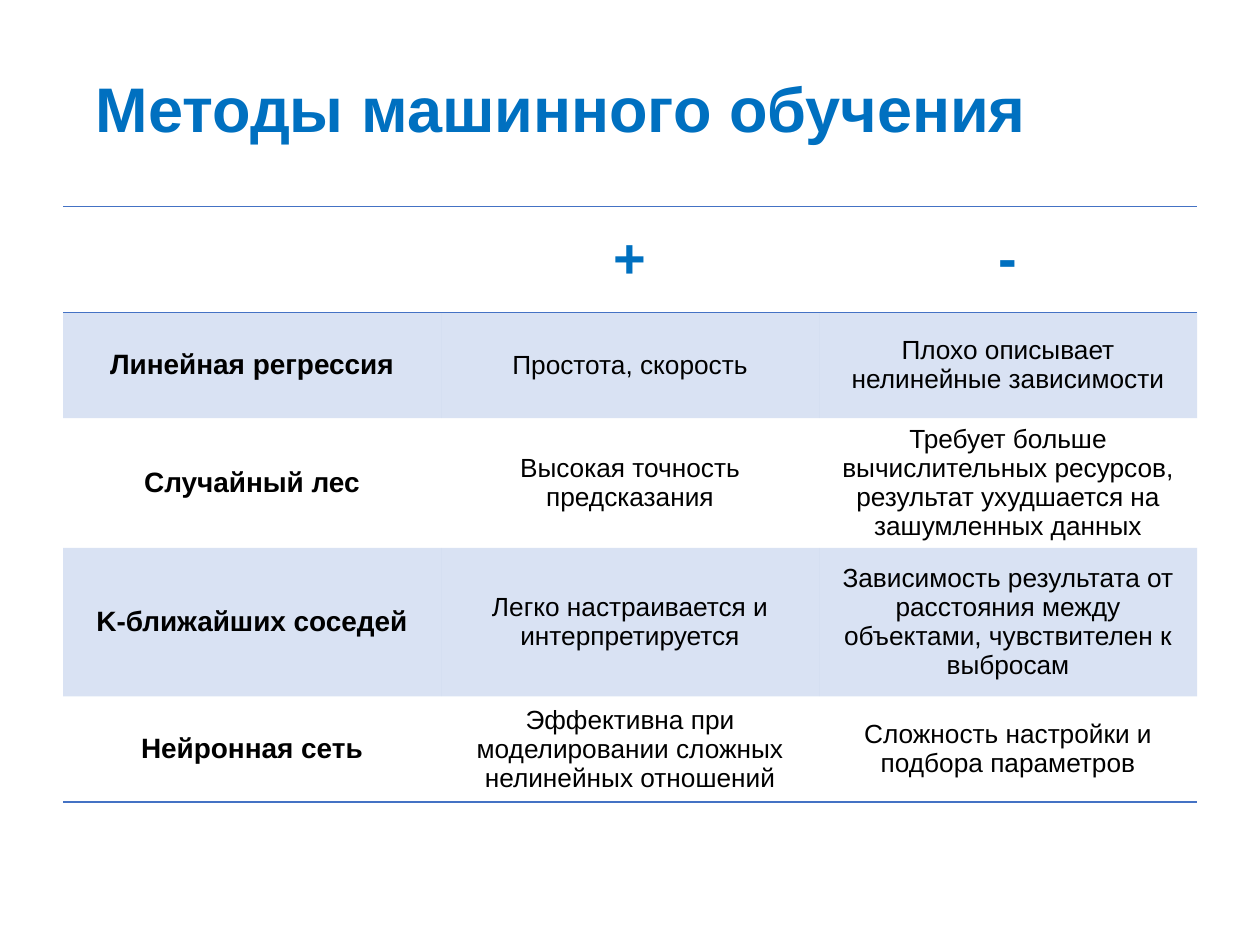
from dataclasses import dataclass
from typing import NamedTuple

from lxml.etree import SubElement
from pptx import Presentation
from pptx.dml.color import RGBColor
from pptx.enum.text import MSO_ANCHOR, PP_ALIGN
from pptx.oxml.ns import qn
from pptx.util import Inches, Pt


@dataclass(frozen=True)
class Theme:
    font: str = "Arial"
    accent: str = "0070C0"
    text: str = "000000"
    line: str = "4472C4"
    band_alpha: int = 20
    line_pt: float = 1
    title_pt: int = 36
    sign_pt: int = 32
    method_pt: int = 16
    body_pt: int = 15


class Method(NamedTuple):
    name: str
    pro: str
    con: str
    height: float


THEME = Theme()
HEADER = Method("", "+", "-", 0.84)
METHODS = [
    Method("Линейная регрессия", "Простота, скорость",
           "Плохо описывает нелинейные зависимости", 0.84),
    Method("Случайный лес", "Высокая точность предсказания",
           "Требует больше вычислительных ресурсов, результат ухудшается "
           "на зашумленных данных", 1.03),
    Method("K-ближайших соседей", "Легко настраивается и интерпретируется",
           "Зависимость результата от расстояния между объектами, "
           "чувствителен к выбросам", 1.18),
    Method("Нейронная сеть",
           "Эффективна при моделировании сложных нелинейных отношений",
           "Сложность настройки и подбора параметров", 0.84),
]


def write(tf, text: str, *, size: float, color: str = THEME.text,
          bold: bool = False, align=PP_ALIGN.CENTER, spacing: float = 1.0) -> None:
    p = tf.paragraphs[0]
    p.alignment, p.line_spacing = align, spacing
    r = p.add_run()
    r.text = text
    r.font.name, r.font.size, r.font.bold = THEME.font, Pt(size), bold
    r.font.color.rgb = RGBColor.from_string(color)


def set_borders(cell, top: bool, bottom: bool) -> None:
    """Rule the chosen edges and clear the others; call before filling."""
    tc_pr = cell._tc.get_or_add_tcPr()
    edges = {"lnL": False, "lnR": False, "lnT": top, "lnB": bottom}
    for tag, ruled in edges.items():
        ln = SubElement(tc_pr, qn(f"a:{tag}"), w=str(Pt(THEME.line_pt)))
        if ruled:
            fill = SubElement(ln, qn("a:solidFill"))
            SubElement(fill, qn("a:srgbClr"), val=THEME.line)
        else:
            SubElement(ln, qn("a:noFill"))


def set_band(cell, shaded: bool) -> None:
    if not shaded:
        cell.fill.background()
        return
    cell.fill.solid()
    cell.fill.fore_color.rgb = RGBColor.from_string(THEME.line)
    clr = cell._tc.tcPr.find(qn("a:solidFill")).find(qn("a:srgbClr"))
    SubElement(clr, qn("a:alpha"), val=str(THEME.band_alpha * 1000))


def add_title(s, text: str) -> None:
    sp = s.shapes.title
    sp.left, sp.top, sp.width, sp.height = map(Inches, (0.68, 0.52, 8.63, 0.68))
    tf = sp.text_frame
    tf.vertical_anchor = MSO_ANCHOR.BOTTOM
    tf.margin_left = tf.margin_right = Inches(0.08)
    tf.margin_top = tf.margin_bottom = Inches(0.04)
    write(tf, text, size=THEME.title_pt, color=THEME.accent, bold=True,
          align=PP_ALIGN.LEFT, spacing=0.9)


def add_methods_table(s, rows: list[Method]) -> None:
    height = sum(row.height for row in rows)
    table = s.shapes.add_table(len(rows), 3, Inches(0.5), Inches(1.64),
                               Inches(9), Inches(height)).table
    table.first_row = table.horz_banding = False
    last = len(rows) - 1
    for i, row in enumerate(rows):
        table.rows[i].height = Inches(row.height)
        for j, text in enumerate((row.name, row.pro, row.con)):
            cell = table.cell(i, j)
            cell.vertical_anchor = MSO_ANCHOR.MIDDLE
            set_borders(cell, top=i in (0, 1), bottom=i in (0, last))
            set_band(cell, shaded=i % 2 == 1)
            if not text:
                continue
            if i == 0:
                write(cell.text_frame, text, size=THEME.sign_pt,
                      color=THEME.accent, bold=True)
            else:
                size = THEME.method_pt if j == 0 else THEME.body_pt
                write(cell.text_frame, text, size=size, bold=j == 0)


def main() -> None:
    prs = Presentation()
    prs.slide_width, prs.slide_height = Inches(10), Inches(7.48)
    s = prs.slides.add_slide(prs.slide_layouts[5])  # Title Only
    add_title(s, "Методы машинного обучения")
    add_methods_table(s, [HEADER, *METHODS])
    prs.save("out.pptx")


if __name__ == "__main__":
    main()
